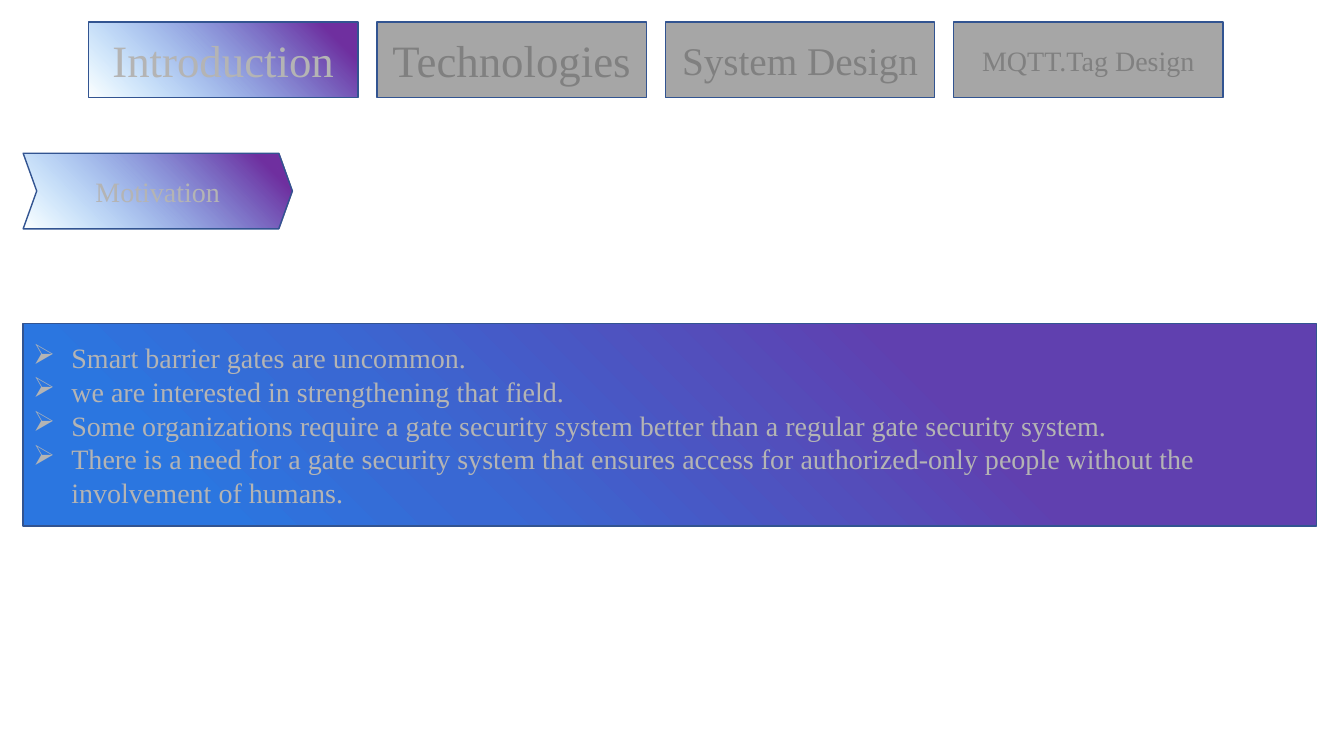
import pptx
import pptx.util
import pptx.dml.color
import pptx.enum.shapes
import pptx.enum.text
import pptx.oxml.ns
from lxml import etree

Inches = pptx.util.Inches
MSO_SHAPE = pptx.enum.shapes.MSO_SHAPE
PP_ALIGN = pptx.enum.text.PP_ALIGN
qn = pptx.oxml.ns.qn

ACTIVE_FILL = [(11, "7030A0", 100), (100, "0A99FF", 0)]
PANEL_FILL = [(29, "6040AF", 100), (68, "3968D3", 100), (87, "2B76E0", 100)]


def rgb(value):
    return pptx.dml.color.RGBColor.from_string(value)


def add_block(kind, left, top, width, height, fill, lines, size, color, align):
    """Add an outlined block; fill is a hex string or (position, hex, opacity) stops."""
    block = slide.shapes.add_shape(
        kind, Inches(left), Inches(top), Inches(width), Inches(height))
    block.shadow.inherit = False
    block.line.color.rgb = rgb("325491")
    block.line.width = pptx.util.Pt(1)
    if isinstance(fill, str):
        block.fill.solid()
        block.fill.fore_color.rgb = rgb(fill)
    else:
        block.fill.gradient()
        block.fill.gradient_angle = 225
        stops = block.fill._fill._gradFill.find(qn("a:gsLst"))
        for stop in list(stops):
            stops.remove(stop)
        for position, value, opacity in fill:
            stop = etree.SubElement(stops, qn("a:gs"), pos=str(position * 1000))
            stop_color = etree.SubElement(stop, qn("a:srgbClr"), val=value)
            if opacity < 100:
                etree.SubElement(stop_color, qn("a:alpha"), val=str(opacity * 1000))
    frame = block.text_frame
    frame.word_wrap = True
    frame.vertical_anchor = pptx.enum.text.MSO_ANCHOR.MIDDLE
    frame.text = "\n".join(lines)
    for paragraph in frame.paragraphs:
        paragraph.alignment = align
        font = paragraph.runs[0].font
        font.name = "Times New Roman"
        font.size = pptx.util.Pt(size)
        font.color.rgb = rgb(color)
    return block


deck = pptx.Presentation()
deck.slide_width = Inches(13.33)
deck.slide_height = Inches(7.5)
slide = deck.slides.add_slide(deck.slide_layouts[6])

# Section heading
motivation = add_block(MSO_SHAPE.CHEVRON, 0.23, 1.52, 2.67, 0.75, ACTIVE_FILL,
                       ["Motivation"], 20, "B4B4B4", PP_ALIGN.CENTER)
motivation.adjustments[0] = 0.18

# Panel of reasons
reasons = add_block(MSO_SHAPE.RECTANGLE, 0.23, 3.21, 12.83, 2.01, PANEL_FILL, [
    "Smart barrier gates are uncommon.",
    "we are interested in strengthening that field.",
    "Some organizations require a gate security system better than a regular "
    "gate security system.",
    "There is a need for a gate security system that ensures access for "
    "authorized-only people without the involvement of humans.",
], 20, "B4B4B4", PP_ALIGN.LEFT)
for reason in reasons.text_frame.paragraphs:
    properties = reason._p.get_or_add_pPr()
    properties.set("marL", str(Inches(0.38)))
    properties.set("indent", str(-Inches(0.38)))
    etree.SubElement(properties, qn("a:buFont"), typeface="Wingdings")
    etree.SubElement(properties, qn("a:buChar"), char="Ø")

# Navigation tabs, the first one active
tabs = [("Introduction", 32, ACTIVE_FILL, "B4B4B4"),
        ("Technologies", 32, "A6A6A6", "808080"),
        ("System Design", 28, "A6A6A6", "808080"),
        ("MQTT.Tag Design", 20, "A6A6A6", "808080")]
for index, (label, size, fill, color) in enumerate(tabs):
    tab = add_block(MSO_SHAPE.CHEVRON, 0.88 + 2.86 * index, 0.22, 2.67, 0.75, fill,
                    [label], size, color, PP_ALIGN.CENTER)
    tab.adjustments[0] = 0

deck.save("out.pptx")
